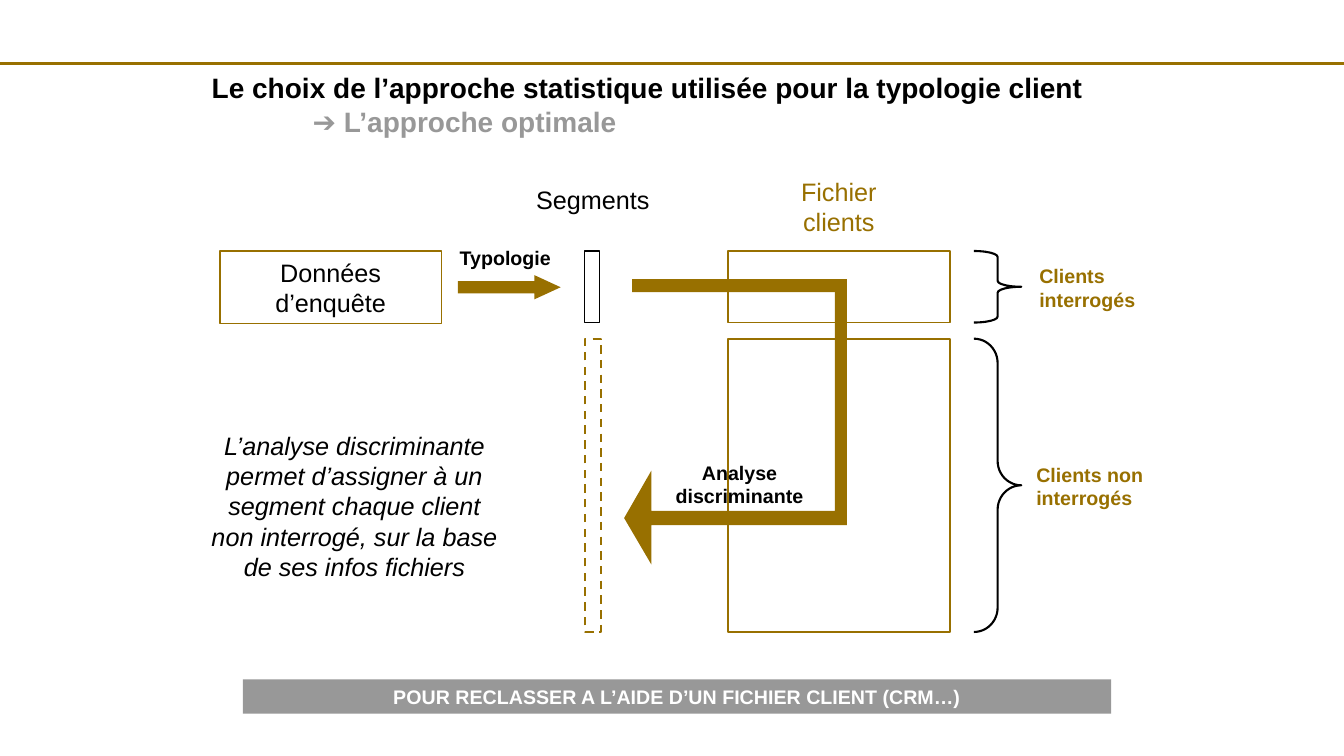
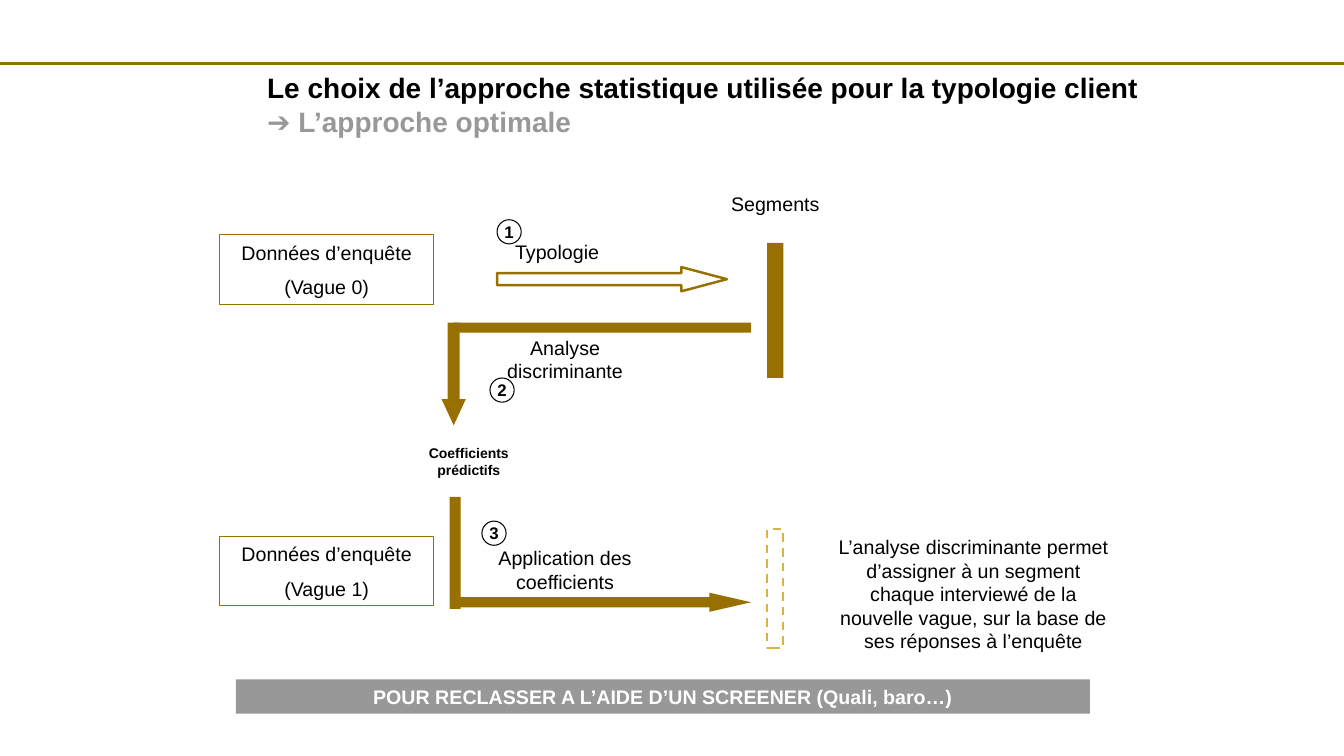
from lxml import etree
from pptx import Presentation
from pptx.dml.color import RGBColor
from pptx.enum import dml, shapes, text
from pptx.oxml import ns
from pptx.util import Inches, Pt

GOLD, PALE, GREY = "987000", "D7B446", "989898"
BLACK, WHITE = "000000", "FFFFFF"
KIND, ALIGN = shapes.MSO_SHAPE, text.PP_ALIGN
MID, TOP = text.MSO_ANCHOR.MIDDLE, text.MSO_ANCHOR.TOP
HEAD = "Le choix de l’approche statistique utilisée pour la typologie client"
SUB = "➔ L’approche optimale"


def paint(target, color):
    """Fill with a solid colour, or with nothing when color is None."""
    if color is None:
        target.background()
    else:
        target.solid()
        target.fore_color.rgb = RGBColor.from_string(color)


def style(font, size=14, color=BLACK, bold=False, italic=False):
    values = {"name": "Arial", "size": Pt(size), "bold": bold, "italic": italic}
    for key, value in values.items():
        setattr(font, key, value)
    paint(font.fill, color)


def write(shape, lines, align=ALIGN.CENTER, anchor=TOP, inset=(0.1, 0.05),
          wrap=True, gap=0, **look):
    side, edge = (Inches(n) for n in inset)
    values = {"word_wrap": wrap, "vertical_anchor": anchor,
              "margin_left": side, "margin_right": side,
              "margin_top": edge, "margin_bottom": edge}
    frame = shape.text_frame
    for key, value in values.items():
        setattr(frame, key, value)
    for n, line in enumerate(lines):
        para = frame.add_paragraph() if n else frame.paragraphs[0]
        para.alignment = align
        if n:
            para.space_before = Pt(gap)
        run = para.add_run()
        run.text = line
        style(run.font, **look)
    return frame


def label(slide, at, *lines, **look):
    box = slide.shapes.add_textbox(*map(Inches, at))
    return write(box, lines, **look)


def finish(shape, fill, line, width, dash):
    shape.shadow.inherit = False
    paint(shape.fill, fill)
    paint(shape.line.fill, line)
    if line:
        shape.line.width = Pt(width)
    if dash:
        shape.line.dash_style = dml.MSO_LINE.DASH


def draw(slide, kind, at, fill=None, line=None, width=0.75, dash=False, adj=()):
    shape = slide.shapes.add_shape(kind, *map(Inches, at))
    for n, value in enumerate(adj):
        shape.adjustments[n] = value
    finish(shape, fill, line, width, dash)
    return shape


def bar(slide, *at):
    return draw(slide, KIND.RECTANGLE, at, fill=GOLD)


def card(slide, at, *lines, width=0.75, **look):
    box = draw(slide, KIND.RECTANGLE, at, WHITE, GOLD, width)
    write(box, lines, anchor=MID, **look)


def outline(slide, points, fill):
    start, *rest = [(Inches(x), Inches(y)) for x, y in points]
    builder = slide.shapes.build_freeform(*start)
    builder.add_line_segments(rest, close=True)
    finish(builder.convert_to_shape(), fill, None, 0, False)


def badge(slide, left, top, number):
    disc = draw(slide, KIND.OVAL, (left, top, 0.24, 0.24), line=BLACK)
    write(disc, [number], anchor=MID, inset=(0, 0), wrap=False, size=12, bold=True)


def start(deck, left, indent=0):
    """Add a slide with the top rule and the shared two-line title."""
    slide = deck.slides.add_slide(deck.slide_layouts[6])
    rule = slide.shapes.add_connector(
        shapes.MSO_CONNECTOR.STRAIGHT, 0, Inches(0.63), deck.slide_width, Inches(0.63))
    paint(rule.line.fill, GOLD)
    rule.line.width = Pt(1.5)
    etree.SubElement(rule._element.spPr, ns.qn("a:effectLst"))
    frame = label(slide, (left, 0.7, 9.17, 0.67), HEAD, SUB, align=ALIGN.LEFT,
                  inset=(0, 0), size=20, bold=True)
    sub = frame.paragraphs[1]
    sub._p.get_or_add_pPr().set("marL", str(Inches(indent)))
    paint(sub.runs[0].font.fill, GREY)
    return slide


def footer(slide, left, width, line):
    band = draw(slide, KIND.RECTANGLE, (left, 6.74, width, 0.34), fill=GREY)
    write(band, [line], anchor=MID, color=WHITE, bold=True)


def crm(deck):
    slide = start(deck, 2.1, indent=1)
    card(slide, (2.18, 2.49, 2.2, 0.72), "Données", "d’enquête", width=1.25, size=18)
    label(slide, (4.78, 1.78, 2.2, 0.4), "Segments", size=18)
    label(slide, (7.22, 1.7, 2.2, 0.7), "Fichier", "clients", size=18, color=GOLD)

    rows = [(2.49, 0.71, 0.125), (3.36, 2.91, 0.514)]
    for top, high, curve in rows:
        draw(slide, KIND.RECTANGLE, (7.22, top, 2.2, high), WHITE, GOLD, 1.25)
        draw(slide, KIND.RIGHT_BRACE, (9.66, top, 0.47, high), line=BLACK,
             width=1.5, adj=(curve, 0.5))
    draw(slide, KIND.RECTANGLE, (5.8, 2.49, 0.15, 0.71), line=BLACK)
    draw(slide, KIND.RECTANGLE, (5.8, 3.36, 0.16, 2.91), line=GOLD, width=1.5, dash=True)

    draw(slide, KIND.RIGHT_ARROW, (4.54, 2.73, 1.02, 0.24), fill=GOLD, adj=(0.5, 1.083))
    outline(slide, [(6.19, 5.14), (6.46, 4.67), (6.46, 5.07), (8.28, 5.07), (8.28, 2.77),
                    (8.4, 2.77), (8.4, 5.21), (6.46, 5.21), (6.46, 5.6)], GOLD)
    bar(slide, 6.27, 2.77, 2.13, 0.13)

    side = {"align": ALIGN.LEFT, "bold": True}
    label(slide, (4.46, 2.39, 1.18, 0.33), "Typologie", **side)
    label(slide, (10.21, 2.57, 1.3, 0.57), "Clients interrogés", color=GOLD, **side)
    label(slide, (10.18, 4.54, 1.57, 0.57), "Clients non interrogés", color=GOLD, **side)
    label(slide, (6.43, 4.52, 1.81, 0.57), "Analyse discriminante", bold=True)
    label(slide, (1.94, 4.22, 3.15, 1.6),
          "L’analyse discriminante permet d’assigner à un segment chaque client "
          "non interrogé, sur la base de ses infos fichiers", size=18, italic=True)
    footer(slide, 2.41, 8.61, "POUR RECLASSER A L’AIDE D’UN FICHIER CLIENT (CRM…)")


def screener(deck):
    slide = start(deck, 2.65)
    for wave, top in enumerate((2.33, 5.32)):
        card(slide, (2.18, top, 2.12, 0.69), "Données d’enquête", f"(Vague {wave})", gap=8)
    label(slide, (6.59, 1.86, 2.2, 0.34), "Segments")
    bar(slide, 7.61, 2.41, 0.16, 1.34)
    draw(slide, KIND.RECTANGLE, (7.61, 5.25, 0.16, 1.18), line=PALE, width=1.5, dash=True)

    draw(slide, KIND.RIGHT_ARROW, (4.93, 2.65, 2.28, 0.24), line=GOLD, width=1.75,
         adj=(0.5, 1.882))
    bar(slide, 4.5, 3.2, 2.95, 0.1)
    draw(slide, KIND.DOWN_ARROW, (4.38, 3.2, 0.24, 1.02), fill=GOLD, adj=(0.5, 1.085))
    bar(slide, 4.46, 4.93, 0.11, 1.11)
    draw(slide, KIND.RIGHT_ARROW, (4.54, 5.88, 2.91, 0.19), fill=GOLD, adj=(0.533, 2.183))

    label(slide, (5.01, 2.33, 1.18, 0.33), "Typologie", align=ALIGN.LEFT)
    label(slide, (4.7, 3.28, 1.81, 0.57), "Analyse discriminante")
    label(slide, (3.97, 4.41, 1.36, 0.33), "Coefficients prédictifs",
          inset=(0, 0), size=10, bold=True)
    label(slide, (4.7, 5.37, 1.81, 0.57), "Application des coefficients")
    label(slide, (8.16, 5.26, 2.99, 1.28),
          "L’analyse discriminante permet d’assigner à un segment chaque interviewé "
          "de la nouvelle vague, sur la base de ses réponses à l’enquête")
    spots = [(4.93, 2.18), (4.86, 3.75), (4.78, 5.17)]
    for n, (left, top) in enumerate(spots, 1):
        badge(slide, left, top, str(n))
    footer(slide, 2.34, 8.47, "POUR RECLASSER A L’AIDE D’UN SCREENER (Quali, baro…)")


def main():
    deck = Presentation()
    deck.slide_width, deck.slide_height = Inches(13.33), Inches(7.5)
    crm(deck)
    screener(deck)
    deck.save("out.pptx")


if __name__ == "__main__":
    main()
